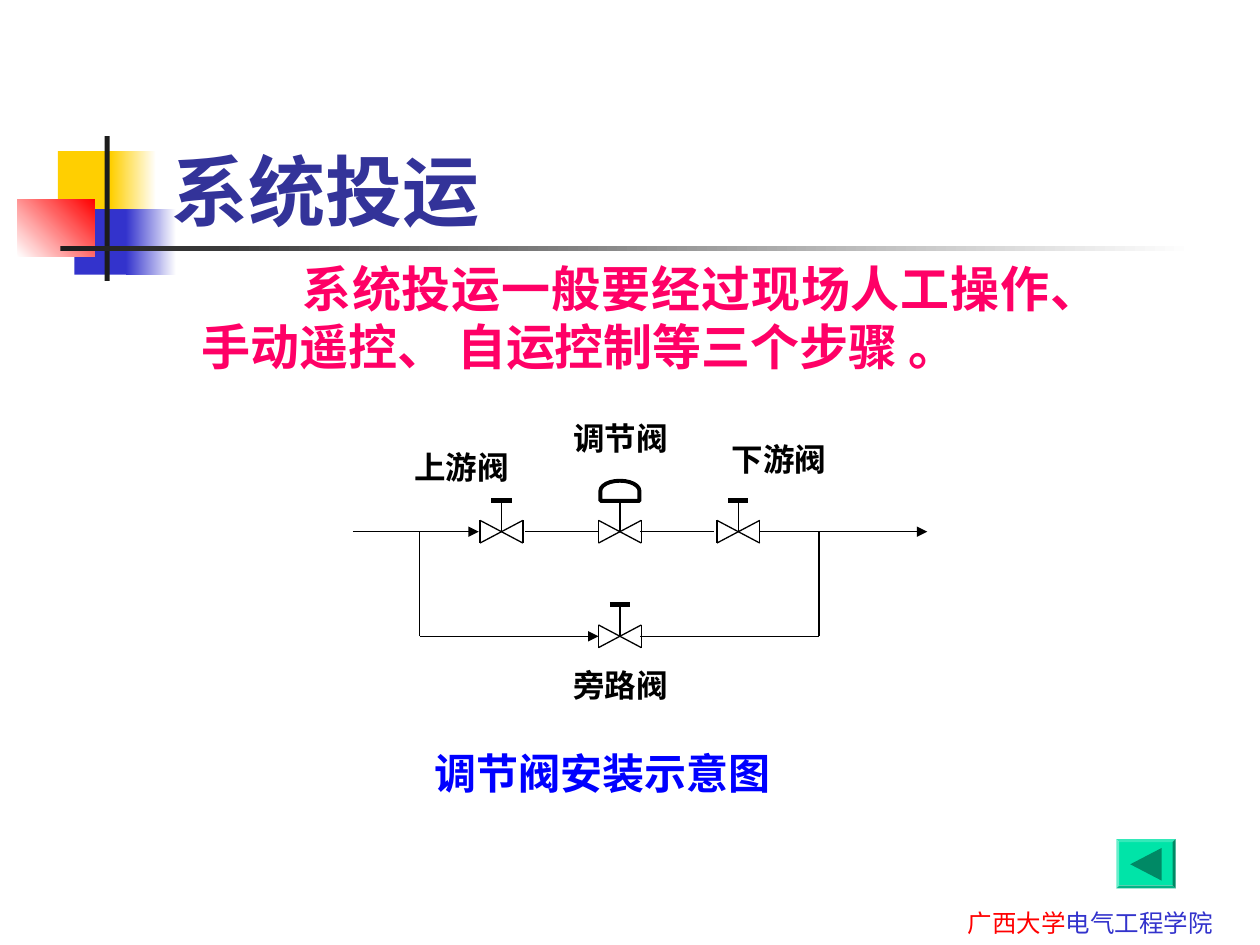
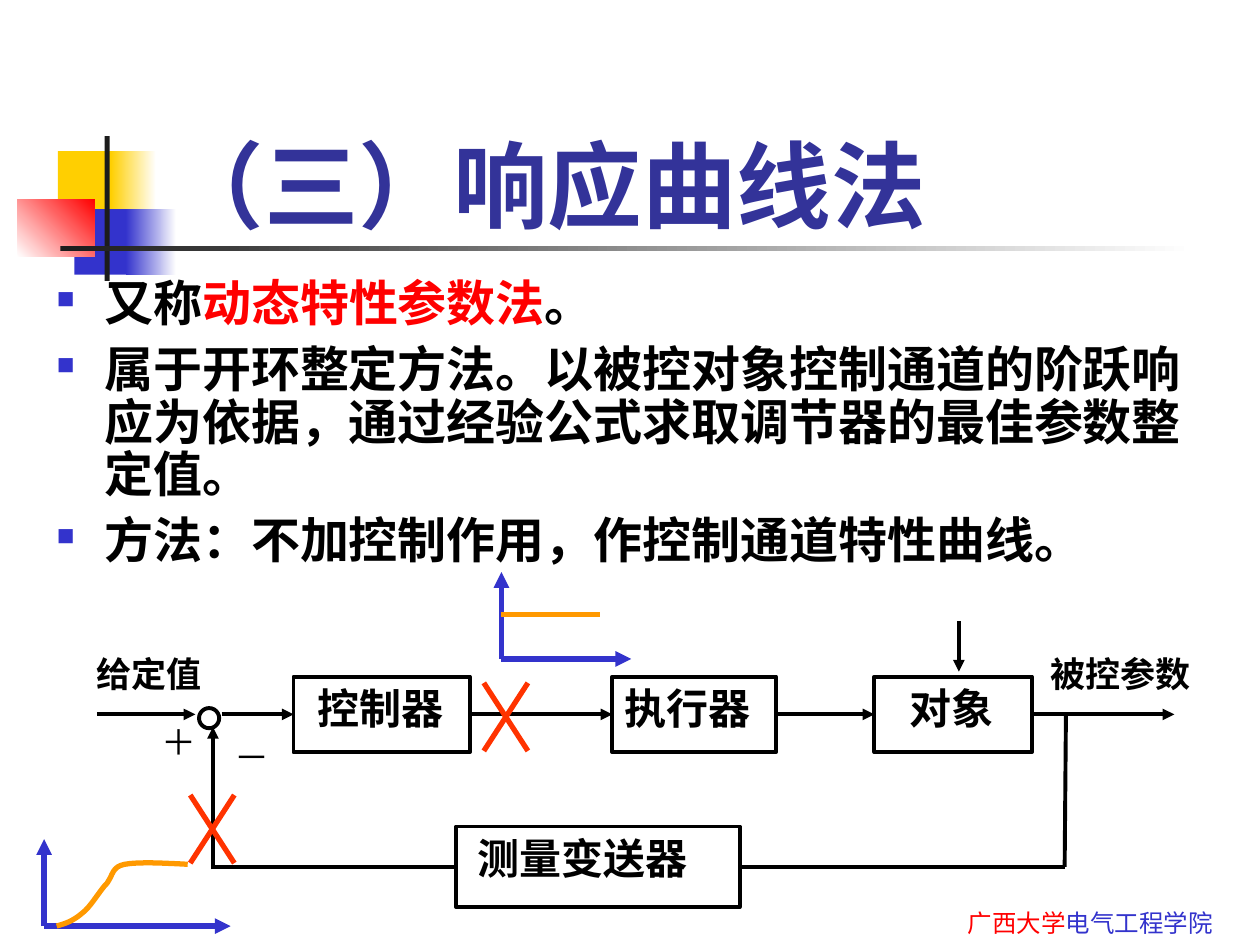
from lxml import etree
from pptx import Presentation
from pptx.dml.color import RGBColor
from pptx.enum.shapes import MSO_CONNECTOR, MSO_SHAPE
from pptx.enum.text import MSO_ANCHOR, PP_ALIGN
from pptx.oxml.ns import qn
from pptx.util import Inches, Pt

RECT, OVAL = MSO_SHAPE.RECTANGLE, MSO_SHAPE.OVAL
BEVEL, DELAY = MSO_SHAPE.BEVEL, MSO_SHAPE.FLOWCHART_DELAY
STRAIGHT = MSO_CONNECTOR.STRAIGHT
TOP, BOTTOM = MSO_ANCHOR.TOP, MSO_ANCHOR.BOTTOM
LEFT, JUSTIFY = PP_ALIGN.LEFT, PP_ALIGN.JUSTIFY
LEFT_SIDE, RIGHT_SIDE = 1, 3

BLACK = RGBColor(0x00, 0x00, 0x00)
WHITE = RGBColor(0xFF, 0xFF, 0xFF)
YELLOW = RGBColor(0xFF, 0xCF, 0x01)
BLUE = RGBColor(0x33, 0x33, 0xCC)
RED = RGBColor(0xFF, 0x00, 0x00)
DARK = RGBColor(0x1C, 0x1C, 0x1C)
TITLE_BLUE = RGBColor(0x33, 0x33, 0x99)
PINK = RGBColor(0xFF, 0x00, 0x66)
CAPTION_BLUE = RGBColor(0x00, 0x00, 0xFF)
GREEN = RGBColor(0x00, 0xE4, 0xA8)
DARK_GREEN = RGBColor(0x00, 0x89, 0x65)
ORANGE = RGBColor(0xFF, 0x99, 0x00)
CROSS_RED = RGBColor(0xFF, 0x33, 0x00)

SERIF, SANS, NARROW = "Times New Roman", "Roboto", "Arial Narrow"


# Basic elements
def add_run(p, text, size=18, color=BLACK, bold=True, font=SERIF):
    r = p.add_run()
    r.text = text
    r.font.size, r.font.bold, r.font.name = Pt(size), bold, font
    r.font.color.rgb = color


def add_text(slide, box, runs, anchor=TOP, align=LEFT, indent=0, **fmt):
    """runs is a string, or a list of (text, color) pairs."""
    tf = slide.shapes.add_textbox(*map(Inches, box)).text_frame
    tf.word_wrap, tf.vertical_anchor = True, anchor
    p = tf.paragraphs[0]
    p.alignment = align
    if indent:
        p._p.get_or_add_pPr().set("indent", str(Inches(indent)))
    if isinstance(runs, str):
        add_run(p, runs, **fmt)
    else:
        for text, color in runs:
            add_run(p, text, color=color, **fmt)


def style_shape(sp, fill=None, line=None, width=2.25):
    sp.shadow.inherit = False
    if fill is None:
        sp.fill.background()
    else:
        sp.fill.solid()
        sp.fill.fore_color.rgb = fill
    if line is None:
        sp.line.fill.background()
    else:
        sp.line.color.rgb = line
        sp.line.width = Pt(width)


def add_shape(slide, kind, box, **style):
    sp = slide.shapes.add_shape(kind, *map(Inches, box))
    style_shape(sp, **style)
    return sp


def add_gradient(slide, box, start, end, angle=0):
    sp = add_shape(slide, RECT, box)
    sp.fill.gradient()
    sp.fill.gradient_angle = angle
    for stop, color, position in zip(sp.fill.gradient_stops, (start, end), (0, 1)):
        stop.color.rgb = color
        stop.position = position


def add_line(slide, start, end, color=BLACK, width=0.75, arrow=False,
             begin_at=None, end_at=None):
    """begin_at and end_at are (shape, side) pairs to join."""
    line = slide.shapes.add_connector(STRAIGHT, *map(Inches, (*start, *end)))
    line.line.color.rgb = color
    line.line.width = Pt(width)
    etree.SubElement(line._element.spPr, qn("a:effectLst"))
    if arrow:
        etree.SubElement(line.line._get_or_add_ln(), qn("a:tailEnd"), type="triangle")
    if begin_at:
        line.begin_connect(*begin_at)
    if end_at:
        line.end_connect(*end_at)


def add_outline(slide, points, close=False, **style):
    points = [(Inches(x), Inches(y)) for x, y in points]
    builder = slide.shapes.build_freeform(*points[0])
    builder.add_line_segments(points[1:], close=close)
    style_shape(builder.convert_to_shape(), **style)


def bezier_points(start, curves, steps=8):
    points = [start]
    for c1, c2, end in curves:
        p0 = points[-1]
        for i in range(1, steps + 1):
            t = i / steps
            u = 1 - t
            points.append(tuple(
                u**3 * a + 3 * u * u * t * b + 3 * u * t * t * c + t**3 * d
                for a, b, c, d in zip(p0, c1, c2, end)))
    return points


# Shared slide frame: ornament, rule, footer and title
def new_slide(prs, title, title_box, title_size):
    slide = prs.slides.add_slide(prs.slide_layouts[6])
    add_shape(slide, RECT, (0.46, 1.2, 0.48, 0.52), fill=YELLOW)
    add_gradient(slide, (0.88, 1.2, 0.36, 0.52), YELLOW, WHITE)
    add_shape(slide, RECT, (0.59, 1.66, 0.46, 0.52), fill=BLUE)
    add_gradient(slide, (1, 1.66, 0.4, 0.52), BLUE, WHITE)
    add_gradient(slide, (0.14, 1.58, 0.61, 0.46), WHITE, RED, angle=45)
    add_shape(slide, RECT, (0.83, 1.08, 0.04, 1.15), fill=DARK)
    add_gradient(slide, (0.48, 1.95, 9, 0.04), DARK, WHITE)
    add_text(slide, (7.58, 7.16, 2.25, 0.34),
             [("广西大学", RED), ("电气工程学院", BLUE)],
             size=14, bold=False, font=NARROW)
    add_text(slide, title_box, title, anchor=BOTTOM,
             size=title_size, color=TITLE_BLUE, font=SANS)
    return slide


# Valve installation diagram
def add_valve(slide, cx, cy, handle=True):
    left, right, top, bottom = cx - 0.17, cx + 0.17, cy - 0.09, cy + 0.09
    for x in (left, right):
        add_line(slide, (x, top), (x, bottom))
    add_line(slide, (left, top), (right, bottom))
    add_line(slide, (left, bottom), (right, top))
    add_line(slide, (cx, cy), (cx, cy - 0.25))
    if handle:
        add_line(slide, (cx - 0.08, cy - 0.25), (cx + 0.08, cy - 0.25), width=3)


def add_back_button(slide):
    sp = add_shape(slide, BEVEL, (8.86, 6.66, 0.47, 0.39), fill=GREEN)
    sp.adjustments[0] = 0.06
    add_outline(slide, [(8.97, 6.86), (9.22, 6.73), (9.22, 6.99)],
                close=True, fill=DARK_GREEN)


def build_commissioning(prs):
    slide = new_slide(prs, "系统投运", (1.26, 0.67, 8.52, 1.25), 44)
    add_text(slide, (1.5, 2, 7.33, 1.04),
             "系统投运一般要经过现场人工操作、手动遥控、 自运控制等三个步骤 。",
             align=JUSTIFY, indent=0.8, size=28, color=PINK)
    add_text(slide, (3.35, 5.88, 3.5, 0.5), "调节阀安装示意图",
             size=24, color=CAPTION_BLUE)
    add_back_button(slide)

    # Pipes
    main_y, bypass_y = 4.22, 5.05
    for x1, x2, y, arrow in [(2.8, 3.8, main_y, True), (4.17, 4.75, main_y, False),
                             (5.08, 5.67, main_y, False), (6.03, 7.36, main_y, True),
                             (3.33, 4.75, bypass_y, True), (5.08, 6.5, bypass_y, False)]:
        add_line(slide, (x1, y), (x2, y), arrow=arrow)
    for x in (3.33, 6.5):
        add_line(slide, (x, main_y), (x, bypass_y))

    # Valves, with the actuator dome on the regulating valve
    add_valve(slide, 3.98, main_y)
    add_valve(slide, 4.92, main_y, handle=False)
    add_valve(slide, 5.86, main_y)
    add_valve(slide, 4.92, bypass_y)
    dome = add_shape(slide, DELAY, (4.84, 3.74, 0.16, 0.31), line=BLACK)
    dome.rotation = 270

    for text, x, y in [("上游阀", 3.19, 3.51), ("调节阀", 4.45, 3.28),
                       ("下游阀", 5.71, 3.44), ("旁路阀", 4.45, 5.24)]:
        add_text(slide, (x, y, 1.02, 0.4), text)


# Response curve slide
def add_bullets(slide, box, items):
    tf = slide.shapes.add_textbox(*map(Inches, box)).text_frame
    tf.word_wrap = True
    for i, runs in enumerate(items):
        p = tf.paragraphs[0] if i == 0 else tf.add_paragraph()
        p.line_spacing = 0.9
        if i:
            p.space_before = Pt(7)
        pPr = p._p.get_or_add_pPr()
        pPr.set("marL", str(Inches(0.38)))
        pPr.set("indent", str(-Inches(0.38)))
        color = etree.SubElement(pPr, qn("a:buClr"))
        etree.SubElement(color, qn("a:srgbClr"), val=str(BLUE))
        etree.SubElement(pPr, qn("a:buSzPct"), val="50000")
        etree.SubElement(pPr, qn("a:buChar"), char="■")
        for text, run_color in runs:
            add_run(p, text, size=28, color=run_color, font=SANS)


def add_block(slide, box, text, inset):
    sp = add_shape(slide, RECT, box, line=BLACK)
    tf = sp.text_frame
    tf.vertical_anchor, tf.word_wrap = TOP, True
    tf.margin_left, tf.margin_right = Inches(inset), 0
    p = tf.paragraphs[0]
    p.alignment = LEFT
    add_run(p, text, size=24)
    return sp


def add_cross(slide, x, y):
    right, bottom = x + 0.35, y + 0.54
    add_line(slide, (x, y), (right, bottom), color=CROSS_RED, width=3)
    add_line(slide, (right, y), (x, bottom), color=CROSS_RED, width=3)


def add_axes(slide, x, y, length):
    for end in [(x + length, y), (x, y - 0.69)]:
        add_line(slide, (x, y), end, color=BLUE, width=3, arrow=True)


def build_response_curve(prs):
    slide = new_slide(prs, "（三）响应曲线法", (1.25, 0.36, 8, 1.6), 54)
    add_bullets(slide, (0.35, 2.17, 9.29, 2.53), [
        [("又称", BLACK), ("动态特性参数法", RED), ("。", BLACK)],
        [("属于开环整定方法。以被控对象控制通道的阶跃响应为依据，"
          "通过经验公式求取调节器的最佳参数整定值。", BLACK)],
        [("方法：不加控制作用，作控制通道特性曲线。", BLACK)],
    ])

    # Blocks of the control loop
    controller = add_block(slide, (2.33, 5.37, 1.4, 0.6), "控制器", 0.19)
    actuator = add_block(slide, (4.86, 5.37, 1.3, 0.6), "执行器", 0.1)
    plant = add_block(slide, (6.94, 5.37, 1.25, 0.6), "对象", 0.28)
    sensor = add_block(slide, (3.62, 6.56, 2.25, 0.64), "测量变送器", 0.17)
    add_shape(slide, OVAL, (1.58, 5.62, 0.16, 0.16), line=BLACK)

    # Signal lines
    y, back_y = 5.67, 6.88
    for start, end, arrow, begin_at, end_at in [
        ((0.77, y), (1.55, y), True, None, None),
        ((1.76, y), (2.33, y), True, None, (controller, LEFT_SIDE)),
        ((3.73, y), (4.86, y), True, (controller, RIGHT_SIDE), (actuator, LEFT_SIDE)),
        ((6.16, y), (6.94, y), True, (actuator, RIGHT_SIDE), (plant, LEFT_SIDE)),
        ((8.19, y), (9.32, y), True, (plant, RIGHT_SIDE), None),
        ((7.61, 4.93), (7.61, 5.33), True, None, None),
        ((8.46, y), (8.45, back_y), False, None, None),
        ((8.45, back_y), (5.87, back_y), False, None, (sensor, RIGHT_SIDE)),
        ((3.62, back_y), (1.69, back_y), False, (sensor, LEFT_SIDE), None),
        ((1.69, 6.9), (1.69, 5.77), True, None, None),
    ]:
        add_line(slide, start, end, width=2.25, arrow=arrow,
                 begin_at=begin_at, end_at=end_at)

    # Signal labels, each box wide enough for one line
    for text, x, top, width, bold in [("给定值", 0.67, 5.13, 1.3, True),
                                      ("被控参数", 8.24, 5.13, 1.48, True),
                                      ("＋", 1.18, 5.67, 0.6, False),
                                      ("－", 1.76, 5.79, 0.6, False)]:
        add_text(slide, (x, top, width, 0.44), text, size=20, bold=bold)

    # Breaks in the loop
    add_cross(slide, 1.51, 6.31)
    add_cross(slide, 3.84, 5.42)

    # Step input and response curve
    add_axes(slide, 3.98, 5.23, 1.03)
    add_line(slide, (3.98, 4.88), (4.76, 4.88), color=ORANGE, width=3)
    add_axes(slide, 0.35, 7.35, 1.48)
    response = bezier_points((0.45, 7.35), [
        ((0.52, 7.33), (0.58, 7.31), (0.65, 7.25)),
        ((0.72, 7.2), (0.79, 7.07), (0.85, 7.01)),
        ((0.9, 6.94), (0.89, 6.88), (0.99, 6.86)),
        ((1.1, 6.84), (1.29, 6.85), (1.49, 6.86)),
    ])
    add_outline(slide, response, line=ORANGE, width=3)


def main():
    prs = Presentation()
    prs.slide_width, prs.slide_height = Inches(10), Inches(7.5)
    build_commissioning(prs)
    build_response_curve(prs)
    prs.save("out.pptx")


if __name__ == "__main__":
    main()
